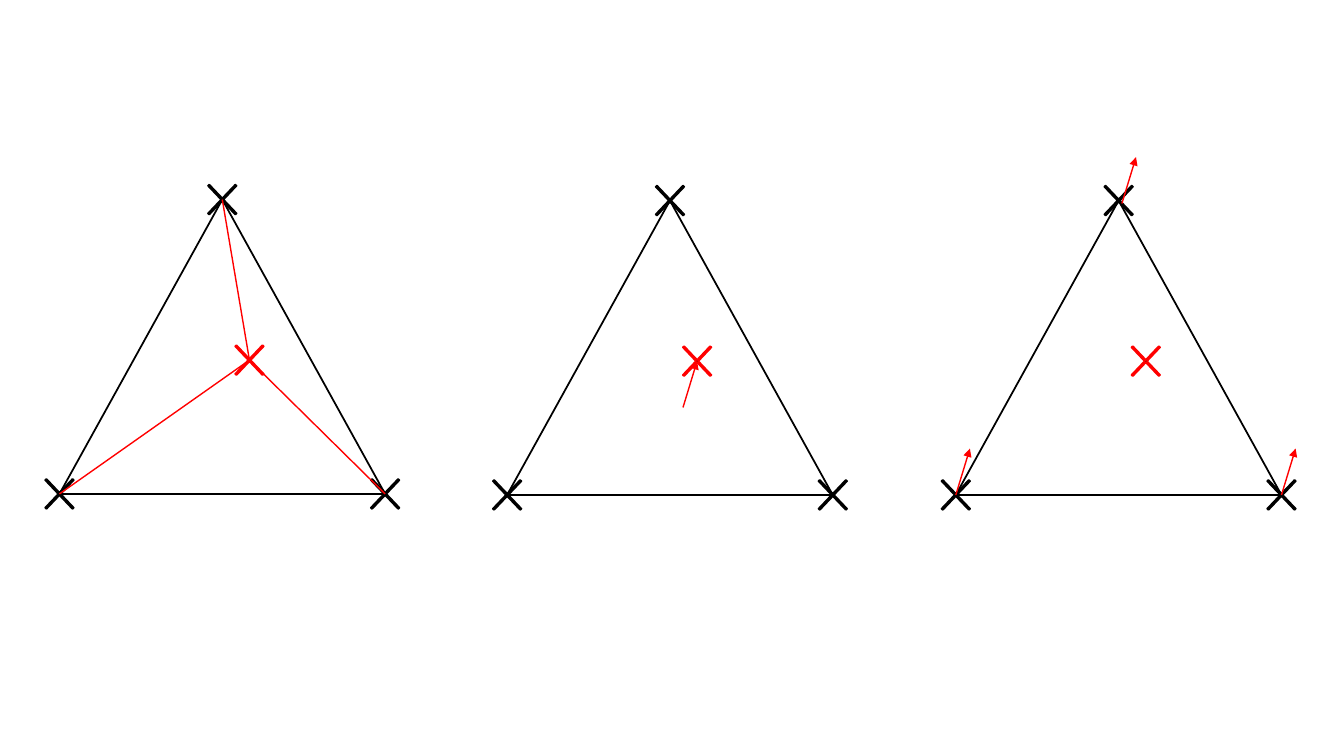
from lxml import etree
from pptx import Presentation
from pptx.dml.color import RGBColor
from pptx.enum.shapes import MSO_CONNECTOR, MSO_SHAPE
from pptx.oxml.ns import qn
from pptx.util import Inches, Pt

TRIANGLE = MSO_SHAPE.ISOSCELES_TRIANGLE
CROSS = MSO_SHAPE.MATH_MULTIPLY
STRAIGHT = MSO_CONNECTOR.STRAIGHT
BLACK = RGBColor(0x00, 0x00, 0x00)
RED = RGBColor(0xFF, 0x00, 0x00)
WHITE = RGBColor(0xFF, 0xFF, 0xFF)

SLIDE_W, SLIDE_H = 13.33, 7.5
TRIANGLE_W, TRIANGLE_H = 3.23, 2.92
CROSS_W, CROSS_H = 0.52, 0.55
SHIFT_X, SHIFT_Y = 0.14, -0.46

APEX, LEFT_CORNER, RIGHT_CORNER = (1 / 2, 0), (0, 1), (1, 1)
CORNERS = (APEX, LEFT_CORNER, RIGHT_CORNER)
INNER_POINT = (7 / 12, 6 / 11)


def locate(box, share):
    """Return the slide position of a point given as shares of a box."""
    left, top, width, height = box
    return left + share[0] * width, top + share[1] * height


def add_outlined(group, preset, box, fill, outline):
    """Add a filled preset shape with a thin outline."""
    shape = group.shapes.add_shape(preset, *map(Inches, box))
    shape.shadow.inherit = False
    shape.fill.solid()
    shape.fill.fore_color.rgb = fill
    shape.line.color.rgb = outline
    shape.line.width = Pt(1.25)
    return shape


def add_cross(group, point, outline):
    """Mark a point with a slim cross."""
    x, y = point
    box = (x - CROSS_W / 2, y - CROSS_H / 2, CROSS_W, CROSS_H)
    cross = add_outlined(group, CROSS, box, BLACK, outline)
    cross.adjustments[0] = 0.032


def add_red_line(group, start, end, arrow=False):
    """Join two points with a red line, with an arrowhead if asked."""
    line = group.shapes.add_connector(STRAIGHT, *map(Inches, start + end))
    line.line.color.rgb = RED
    line.line.width = Pt(1)
    if arrow:
        etree.SubElement(line.line._get_or_add_ln(), qn("a:tailEnd"), type="triangle")
    etree.SubElement(line._element.spPr, qn("a:effectLst"))


def add_shift(group, start):
    """Draw the common shift as an arrow from a point."""
    x, y = start
    add_red_line(group, start, (x + SHIFT_X, y + SHIFT_Y), arrow=True)


def add_marked_triangle(slide, box):
    """Draw a triangle in the box with its corners and inner point marked."""
    group = slide.shapes.add_group_shape()
    add_outlined(group, TRIANGLE, box, WHITE, BLACK)
    for corner in CORNERS:
        add_cross(group, locate(box, corner), BLACK)
    add_cross(group, locate(box, INNER_POINT), RED)
    return group


def add_distances_panel(slide, box):
    """Join every corner to the inner point."""
    group = add_marked_triangle(slide, box)
    for corner in CORNERS:
        add_red_line(group, locate(box, corner), locate(box, INNER_POINT))


def add_point_shift_panel(slide, box):
    """Show the shift that ends at the inner point."""
    group = add_marked_triangle(slide, box)
    x, y = locate(box, INNER_POINT)
    add_shift(group, (x - SHIFT_X, y - SHIFT_Y))


def add_corner_shift_panel(slide, box):
    """Show the same shift starting at every corner."""
    group = add_marked_triangle(slide, box)
    for start in (RIGHT_CORNER, LEFT_CORNER, (0.51, 0.01)):
        add_shift(group, locate(box, start))


def main():
    """Build the slide with its three panels."""
    deck = Presentation()
    deck.slide_width, deck.slide_height = Inches(SLIDE_W), Inches(SLIDE_H)
    slide = deck.slides.add_slide(deck.slide_layouts[6])
    panels = (
        (add_distances_panel, 0.59, 1.98),
        (add_point_shift_panel, 5.03, 1.99),
        (add_corner_shift_panel, 9.48, 1.99),
    )
    for add_panel, left, top in panels:
        add_panel(slide, (left, top, TRIANGLE_W, TRIANGLE_H))
    deck.save("out.pptx")


if __name__ == "__main__":
    main()
